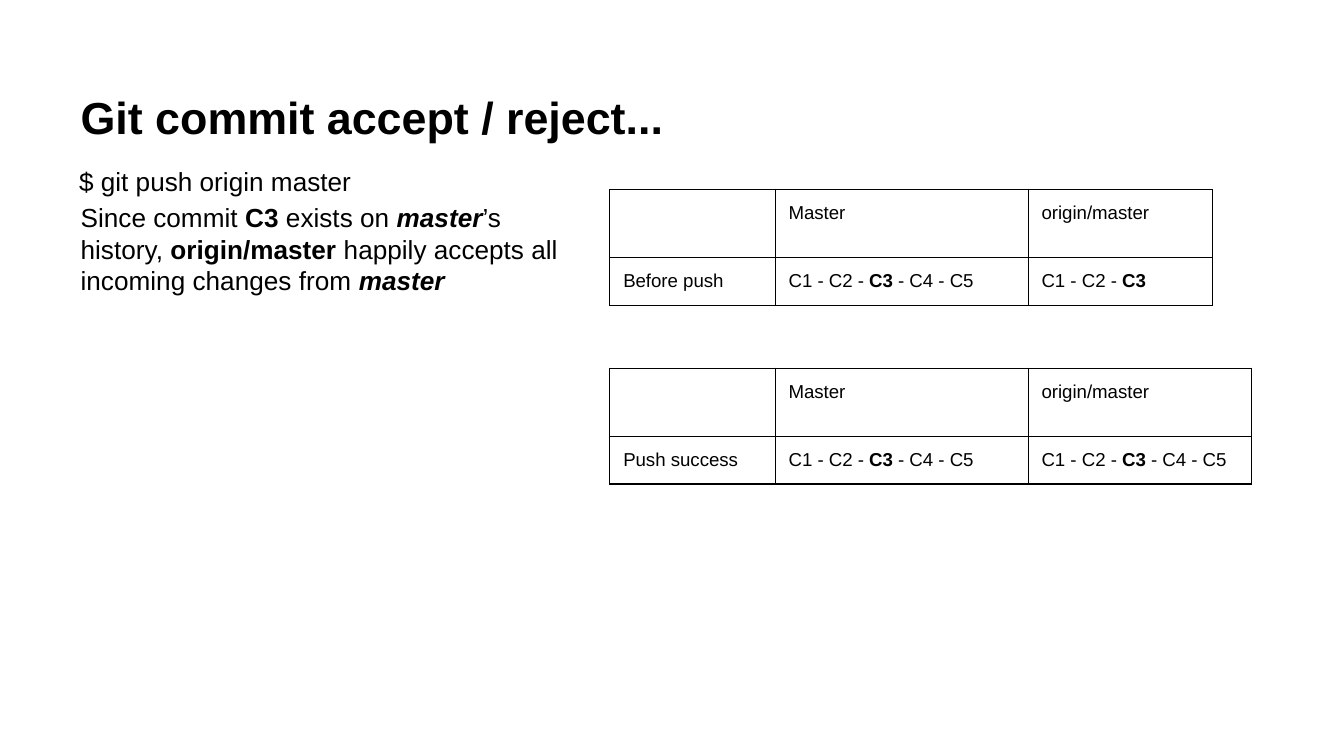
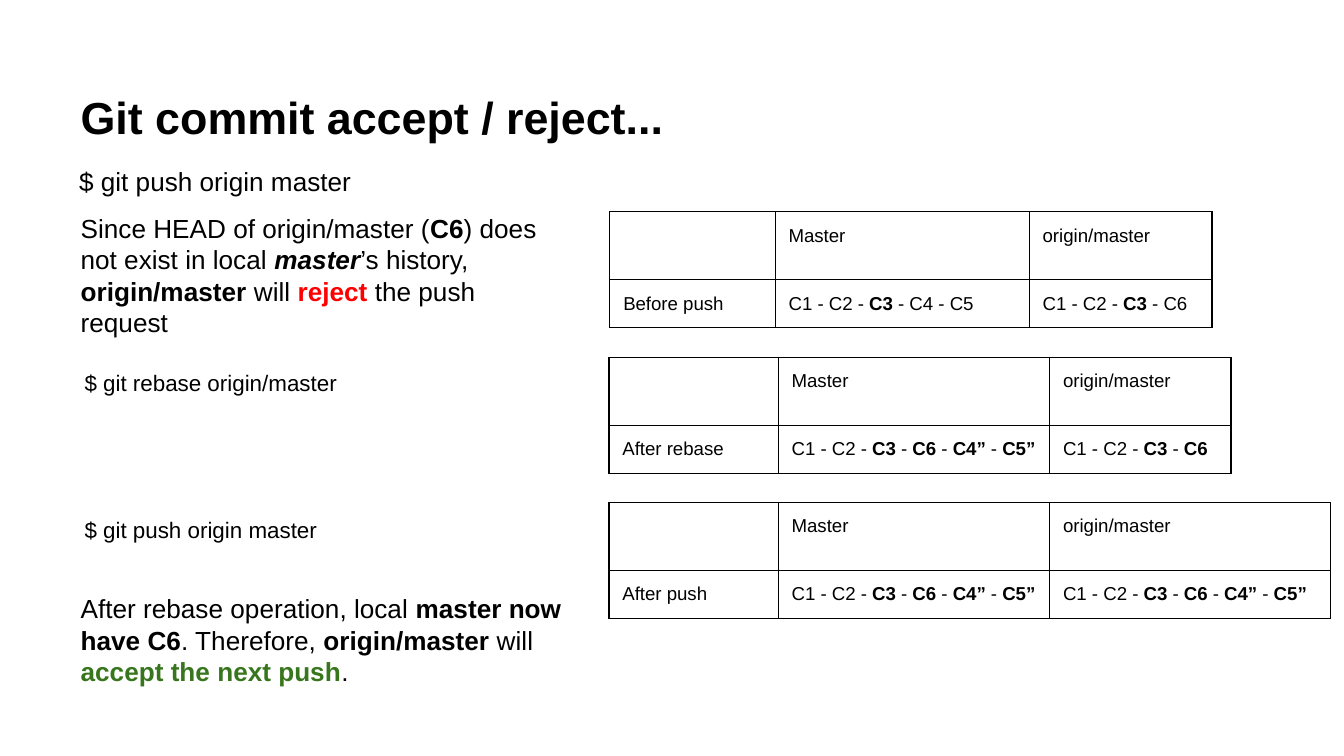
import pptx
import pptx.dml.color
import pptx.enum.text
import pptx.oxml
import pptx.oxml.ns
import pptx.util
from lxml import etree

Pt = pptx.util.Pt
RGBColor = pptx.dml.color.RGBColor

BLACK = RGBColor(0x00, 0x00, 0x00)
RED = RGBColor(0xFF, 0x00, 0x00)
GREEN = RGBColor(0x38, 0x76, 0x1D)

TITLE_LAYOUT, TWO_BODIES_LAYOUT = 1, 3
# Text between asterisks is bold; a leading mark adds italics or a colour.
ITALIC_MARK = "/"
COLOUR_MARKS = {"!": RED, "+": GREEN}


class GitDeck:
    """Holds the deck style and the page being filled."""

    font = "Arial"
    inset = Pt(7.2)
    border = Pt(0.75)
    row_height = Pt(21.6)

    def __init__(self):
        self.deck = pptx.Presentation()
        self.deck.slide_width = Pt(720)
        self.deck.slide_height = Pt(405)
        self.page = None

    def add_page(self, layout, title):
        self.page = self.deck.slides.add_slide(self.deck.slide_layouts[layout])
        box = self.page.shapes.title
        self.place(box, 36, 16.6, 648, 67.7)
        self.fill_frame(box.text_frame, f"*{title}*", 24)
        box.text_frame.vertical_anchor = pptx.enum.text.MSO_ANCHOR.BOTTOM

    def place(self, box, left, top, width, height):
        box.left, box.top = Pt(left), Pt(top)
        box.width, box.height = Pt(width), Pt(height)

    def fill_frame(self, frame, text, size):
        frame.word_wrap = True
        frame.auto_size = pptx.enum.text.MSO_AUTO_SIZE.NONE
        frame.margin_left = frame.margin_right = self.inset
        frame.margin_top = frame.margin_bottom = self.inset
        frame.vertical_anchor = pptx.enum.text.MSO_ANCHOR.TOP
        self.add_spans(frame.paragraphs[0], text, size)

    def add_spans(self, para, text, size, space_before=0):
        para.alignment = pptx.enum.text.PP_ALIGN.LEFT
        para.space_before = Pt(space_before)
        for index, part in enumerate(text.split("*")):
            if not part:
                continue
            bold = index % 2 == 1
            italic = bold and part[0] == ITALIC_MARK
            colour = COLOUR_MARKS.get(part[0], BLACK) if bold else BLACK
            span = para.add_run()
            span.text = part[1:] if italic or colour != BLACK else part
            span.font.name = self.font
            span.font.size = Pt(size)
            span.font.bold = bold
            span.font.italic = italic
            span.font.color.rgb = colour

    def add_body(self, index, top, height, text):
        box = self.page.placeholders[index]
        self.place(box, 36, top, 274.3, height)
        self.fill_frame(box.text_frame, text, 14)
        para = box.text_frame.paragraphs[0]
        para.space_before = Pt(6)
        properties = para._p.get_or_add_pPr()
        properties.set("marL", "0")
        properties.set("indent", "0")
        etree.SubElement(properties, pptx.oxml.ns.qn("a:buNone"))

    def add_command(self, left, top, height, text, size):
        box = self.page.shapes.add_textbox(Pt(left), Pt(top), Pt(288), Pt(height))
        self.fill_frame(box.text_frame, text, size)

    def add_history(self, left, top, widths, stage, master, origin):
        rows = [["", "Master", "origin/master"], [stage, master, origin]]
        table = self.page.shapes.add_table(
            len(rows), len(widths), Pt(left), Pt(top),
            Pt(sum(widths)), self.row_height * len(rows)).table
        table.first_row = table.horz_banding = False
        for column, width in zip(table.columns, widths):
            column.width = Pt(width)
        for row, texts in zip(table.rows, rows):
            row.height = self.row_height
            for cell, text in zip(row.cells, texts):
                cell.margin_left = cell.margin_right = self.inset
                cell.margin_top = cell.margin_bottom = self.inset
                self.add_spans(cell.text_frame.paragraphs[0], text, 10, 6)
                self.outline(cell)
                cell.fill.background()

    def outline(self, cell):
        properties = cell._tc.get_or_add_tcPr()
        for side in ("lnL", "lnR", "lnT", "lnB"):
            properties.append(pptx.oxml.parse_xml(
                f'<a:{side} {pptx.oxml.ns.nsdecls("a")} w="{self.border}">'
                f'<a:solidFill><a:srgbClr val="{BLACK}"/></a:solidFill>'
                f'</a:{side}>'))


def main():
    git = GitDeck()
    title = "Git commit accept / reject..."
    push = "$ git push origin master"
    local = "C1 - C2 - *C3* - C4 - C5"
    rebased = "C1 - C2 - *C3* - *C6* - *C4”* - *C5”*"

    # Accepted push
    git.add_page(TITLE_LAYOUT, title)
    git.add_body(1, 100.8, 72.7,
                 "Since commit *C3* exists on */master*’s history, "
                 "*origin/master *happily accepts all incoming changes "
                 "from */master*")
    git.add_history(326.7, 101.5, [88.6, 135.5, 98.6],
                    "Before push", local, "C1 - C2 - *C3*")
    git.add_command(35.3, 81.4, 36, push, 14)
    git.add_history(326.7, 197.3, [88.6, 135.5, 119.5],
                    "Push success", local, local)

    # Rejected push, then rebase
    git.add_page(TWO_BODIES_LAYOUT, title)
    git.add_command(35.3, 81.4, 36, push, 14)
    git.add_body(1, 106.6, 90,
                 "Since HEAD of origin/master (*C6*) does not exist in local "
                 "*/master*’s history, *origin/master *will *!reject* "
                 "the push request")
    git.add_body(2, 310.3, 72.7,
                 "After rebase operation, local *master now have C6*. "
                 "Therefore, *origin/master* will *+accept the next push*.")
    git.add_command(38.2, 190.8, 24.5, "$ git rebase origin/master", 12)
    git.add_command(38.2, 269.3, 24.5, push, 12)
    git.add_history(326.7, 113.5, [88.6, 136.1, 97.9],
                    "Before push", local, "C1 - C2 - *C3* - C6")
    git.add_history(326.2, 191.5, [90.7, 145.4, 97.2],
                    "After rebase", rebased, "C1 - C2 - *C3* - *C6*")
    git.add_history(326.2, 269.3, [90.7, 145.4, 150.5],
                    "After push", rebased, rebased)

    git.deck.save("out.pptx")


if __name__ == "__main__":
    main()
